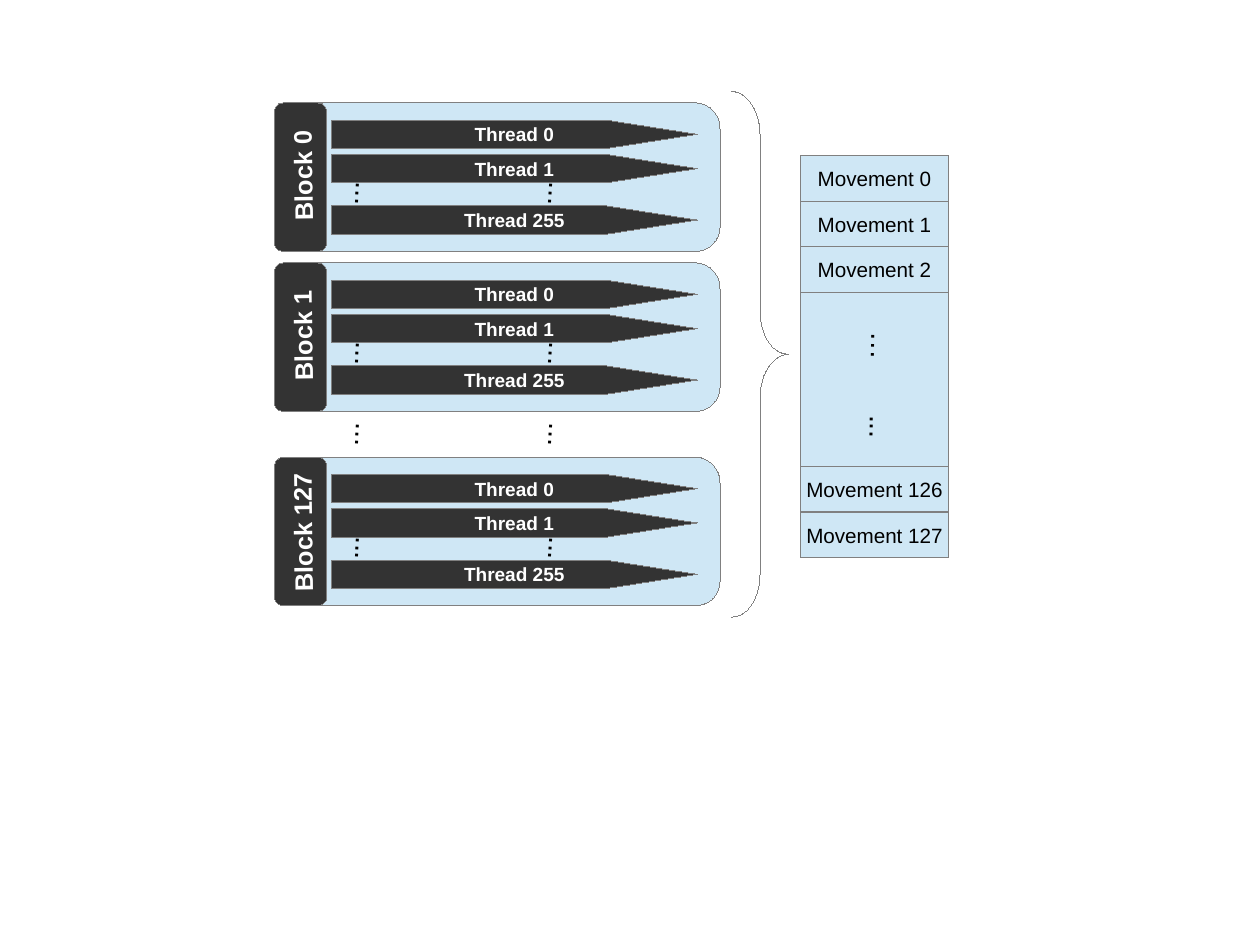
"""Draw thread blocks feeding a list of movements."""
from dataclasses import dataclass
from typing import NamedTuple

from lxml import etree
from pptx import Presentation
from pptx import util as u
from pptx.dml.color import RGBColor
from pptx.enum import shapes, text
from pptx.oxml.ns import qn


@dataclass(frozen=True)
class Theme:
    """Hold the colours, type sizes and grid step in inches."""
    font: str = "Arial"
    pale: str = "CFE7F5"
    dark: str = "333333"
    edge: str = "808080"
    ink: str = "000000"
    white: str = "FFFFFF"
    thread: int = 12
    move: int = 13
    block: int = 16
    dots: int = 18
    step: float = 0.1


class Box(NamedTuple):
    """Place an area by grid column, row, width and height."""
    col: float
    row: float
    wide: float
    high: float

    def emu(self) -> list[int]:
        """Return the area in slide units."""
        return [u.Inches(n * look.step) for n in self]


class Block(NamedTuple):
    """Name a block, its top row and the middle row of its label."""
    name: str
    row: float
    mid: float


class Item(NamedTuple):
    """Name an entry and its row."""
    name: str
    row: float


look = Theme()
kind = shapes.MSO_SHAPE
blocks = [Block("Block 0", 9, 15.35), Block("Block 1", 23, 29.35),
          Block("Block 127", 40, 46.6)]
threads = [Item("Thread 0", 1.5), Item("Thread 1", 4.5), Item("Thread 255", 9)]
moves = [Item(f"Movement {n}", row) for n, row in
         [(0, 13.6), (1, 17.6), (2, 21.6), (126, 40.8), (127, 44.8)]]

deck = Presentation()
deck.slide_width, deck.slide_height = u.Cm(28), u.Cm(21)
page = deck.slides.add_slide(deck.slide_layouts[6]).shapes


def assign(item, form: dict) -> None:
    """Set each attribute named in the format."""
    for key, value in form.items():
        setattr(item, key, value)


def paint(shape, fill: str | None) -> None:
    """Give a shape its fill and hairline edge."""
    shape.shadow.inherit = False
    if fill:
        shape.fill.solid()
        shape.fill.fore_color.rgb = RGBColor.from_string(fill)
    else:
        shape.fill.background()
    shape.line.color.rgb = RGBColor.from_string(look.edge)
    shape.element.spPr.find(qn("a:ln")).set("w", "0")


def write(shape, words: str, size: int, tint: str, bold: bool = False):
    """Put one centred line of text in a shape and return its paragraph."""
    frame = shape.text_frame
    assign(frame, {"word_wrap": False, "vertical_anchor": text.MSO_ANCHOR.MIDDLE})
    para = frame.paragraphs[0]
    para.alignment = text.PP_ALIGN.CENTER
    run = para.add_run()
    run.text = words
    assign(run.font, {"name": look.font, "size": u.Pt(size), "bold": bold})
    run.font.color.rgb = RGBColor.from_string(tint)
    return para


def panel(form: shapes.MSO_SHAPE, box: Box, fill: str | None, *bends: float):
    """Draw a preset shape with its adjustments."""
    shape = page.add_shape(form, *box.emu())
    for spot, bend in enumerate(bends):
        shape.adjustments[spot] = bend
    paint(shape, fill)
    return shape


def label(words: str, x: float, y: float, size: tuple[float, float], turn: float,
          points: int, tint: str, bold: bool = False):
    """Draw turned text around a centre point."""
    wide, high = size
    area = Box(x - wide / 2, y - high / 2, wide, high)
    shape = page.add_textbox(*area.emu())
    shape.rotation = turn
    return shape, write(shape, words, points, tint, bold)


def dots(row: float) -> None:
    """Draw the pair of vertical dots centred on a row."""
    for col in (32.1, 49):
        label("...", col, row, (4.1, 3.8), 93.3, look.dots, look.ink)


def skip() -> None:
    """Draw the two sets of dots in the list, parted by a tab stop."""
    shape, para = label("…\t...", 77.15, 34.3, (12.5, 3.8), 91,
                        look.dots, look.ink)
    shape.text_frame.word_wrap = True
    para.alignment = text.PP_ALIGN.LEFT
    props = para._p.get_or_add_pPr()
    stops = etree.SubElement(props, qn("a:tabLst"))
    etree.SubElement(stops, qn("a:tab"), pos=str(u.Inches(0.73)), algn="l")


def arrow(item: Item, top: float) -> None:
    """Draw one thread as a long pointed bar."""
    x, y, wide, high = Box(29, top + item.row, 32, 2.5).emu()
    neck = x + wide * 3 // 4
    pen = page.build_freeform(x, y)
    pen.add_line_segments([(neck, y), (x + wide, y + high // 2),
                           (neck, y + high), (x, y + high)])
    shape = pen.convert_to_shape()
    paint(shape, look.dark)
    write(shape, item.name, look.thread, look.white, True)


def group(block: Block) -> None:
    """Draw a block with its tab, threads and dots."""
    panel(kind.ROUNDED_RECTANGLE, Box(24, block.row, 39, 13), look.pale, 0.167)
    panel(kind.ROUNDED_RECTANGLE, Box(24, block.row, 4.6, 13), look.dark, 0.167)
    for item in threads:
        arrow(item, block.row)
    dots(block.row + 8)
    label(block.name, 26.45, block.mid, (15, 3.5), 269.2,
          look.block, look.white, True)


for block in blocks:
    group(block)
dots(38.1)
panel(kind.RIGHT_BRACE, Box(64, 8, 5, 46), None, 0.76, 0.5)
panel(kind.RECTANGLE, Box(70, 13.6, 13, 35), look.pale)
for move in moves:
    cell = panel(kind.RECTANGLE, Box(70, move.row, 13, 4), look.pale)
    write(cell, move.name, look.move, look.ink)
skip()

deck.save("out.pptx")
